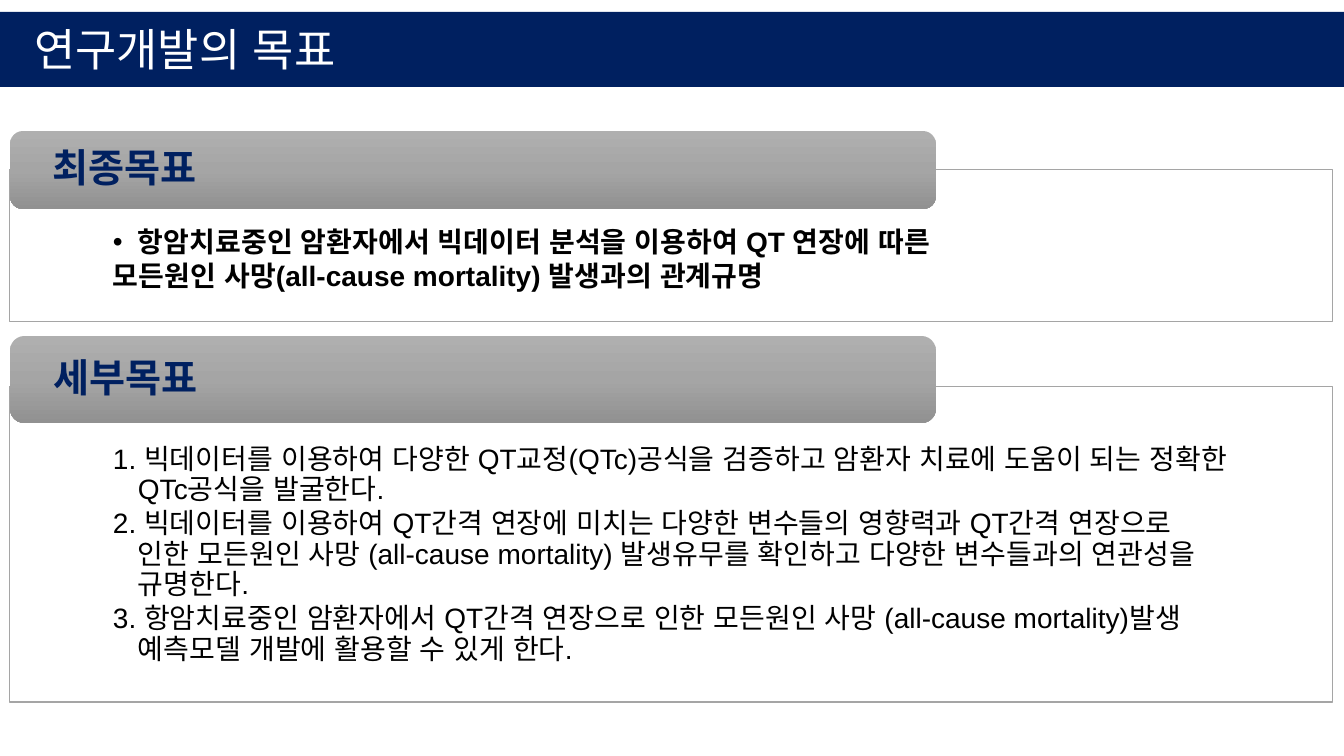
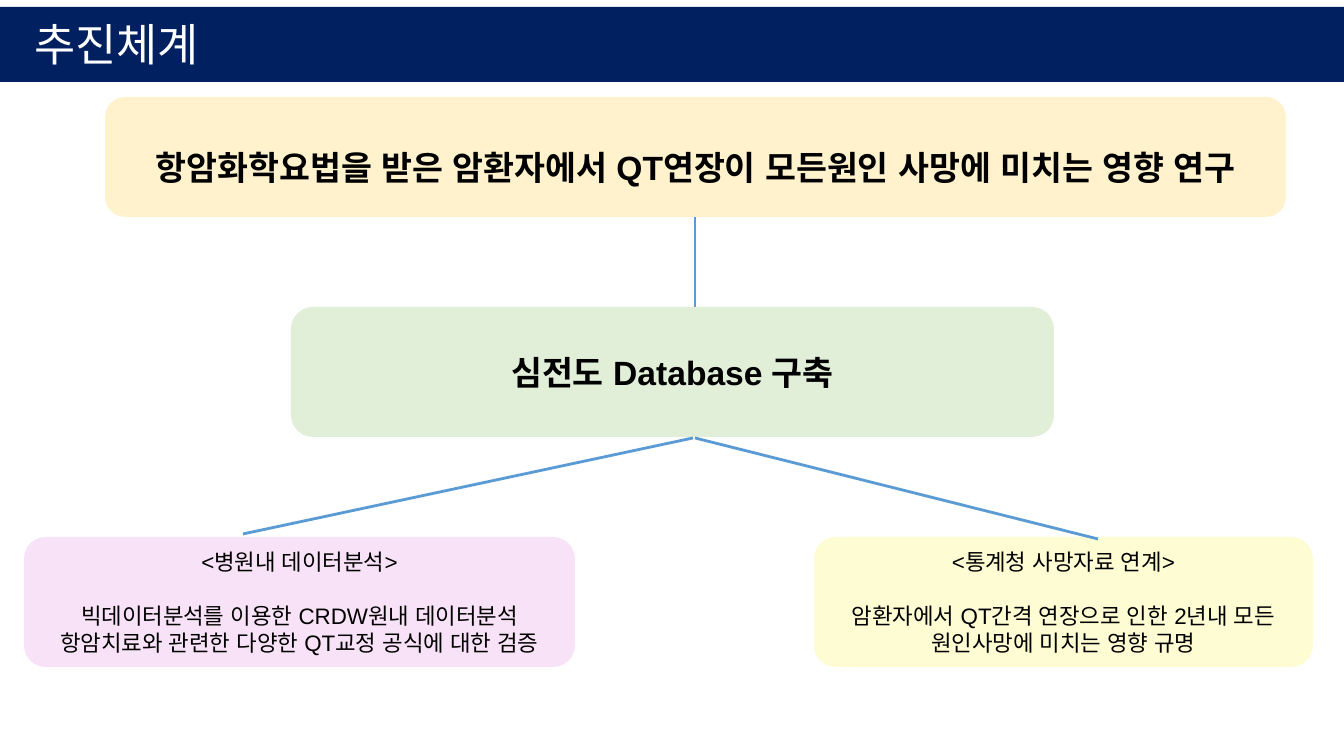
from copy import deepcopy

from lxml.etree import SubElement
from pptx import Presentation
from pptx.dml.color import RGBColor
from pptx.enum.shapes import MSO_CONNECTOR, MSO_SHAPE as SHAPE
from pptx.enum.text import MSO_ANCHOR as ANCHOR, MSO_AUTO_SIZE, PP_ALIGN as ALIGN
from pptx.oxml.ns import qn
from pptx.util import Pt

SLIDE_W, SLIDE_H = 1344, 756
EMU_PER_PX = 12192000 / SLIDE_W
FONT = "Arial"

NAVY = RGBColor(0x00, 0x20, 0x60)
WHITE = RGBColor(0xFF, 0xFF, 0xFF)
BLACK = RGBColor(0x00, 0x00, 0x00)
GREY = RGBColor(0xA5, 0xA5, 0xA5)
GREY_LIGHT = RGBColor(0xAF, 0xAF, 0xAF)
GREY_DARK = RGBColor(0x91, 0x91, 0x91)
BLUE = RGBColor(0x5B, 0x9B, 0xD5)
CREAM = RGBColor(0xFF, 0xF2, 0xCC)
GREEN = RGBColor(0xE1, 0xEF, 0xD8)
PINK = RGBColor(0xF8, 0xE2, 0xF7)
YELLOW = RGBColor(0xFD, 0xFC, 0xD2)


def px(*lengths):
    return [round(length * EMU_PER_PX) for length in lengths]


def add_box(slide, kind, box, fill=None):
    """Add a flat, borderless shape; box is left, top, width, height."""
    shape = slide.shapes.add_shape(kind, *px(*box))
    shape.shadow.inherit = False
    shape.line.fill.background()
    if fill is not None:
        shape.fill.solid()
        shape.fill.fore_color.rgb = fill
    return shape


def set_frame(frame, anchor, insets=(10, 5, 10, 5)):
    frame.word_wrap = True
    frame.auto_size = MSO_AUTO_SIZE.NONE
    frame.vertical_anchor = anchor
    (frame.margin_left, frame.margin_top,
     frame.margin_right, frame.margin_bottom) = px(*insets)


def write(frame, lines, size, color, bold=False, align=ALIGN.LEFT,
          spacing=1.0, gaps=(), hanging=0, bullets=()):
    """Write one paragraph per line; gaps are points before each later line."""
    for index, line in enumerate(lines):
        paragraph = frame.paragraphs[0] if index == 0 else frame.add_paragraph()
        paragraph.alignment = align
        paragraph.line_spacing = spacing
        paragraph.space_before = Pt(gaps[index - 1] if index and gaps else 0)
        if hanging:
            indent, = px(hanging)
            properties = paragraph._p.get_or_add_pPr()
            properties.set("marL", str(indent))
            properties.set("indent", str(-indent))
            if index in bullets:
                SubElement(properties, qn("a:buFont"), typeface=FONT)
                SubElement(properties, qn("a:buChar"), char="•")
            else:
                SubElement(properties, qn("a:buNone"))
        run = paragraph.add_run()
        run.text = line
        run.font.name = FONT
        run.font.size = Pt(size)
        run.font.bold = bold
        run.font.color.rgb = color
        # Korean glyphs take the East Asian typeface
        SubElement(run.font._element, qn("a:ea"), typeface=FONT)


def add_titled_slide(deck, title, band_top):
    slide = deck.slides.add_slide(deck.slide_layouts[5])
    heading = slide.shapes.title
    heading.left, heading.top, heading.width, heading.height = px(
        24, band_top + 5, 1296, 64)
    set_frame(heading.text_frame, ANCHOR.TOP)
    write(heading.text_frame, [title], 32, WHITE)
    # The band lies behind the title
    band = add_box(slide, SHAPE.RECTANGLE, (0, band_top, SLIDE_W, 75), NAVY)
    heading._element.addprevious(band._element)
    return slide


def fill_grey_gradient(shape):
    shape.fill.gradient()
    shape.fill.gradient_angle = 270
    stop_list = shape._element.spPr.find(qn("a:gradFill")).find(qn("a:gsLst"))
    stop_list.append(deepcopy(stop_list[-1]))
    shades = (0, GREY_LIGHT), (0.5, GREY), (1, GREY_DARK)
    for stop, (position, shade) in zip(shape.fill.gradient_stops, shades):
        stop.position = position
        stop.color.rgb = shade


def add_goal_section(slide, box, tab_height, panel_drop, heading, goals, **style):
    """Bordered panel of goals, with a heading tab over its top edge."""
    left, top, width, height = box
    panel = add_box(slide, SHAPE.RECTANGLE,
                    (left, top + panel_drop, width, height - panel_drop), WHITE)
    panel.line.color.rgb = GREY
    panel.line.width = Pt(0.75)
    set_frame(panel.text_frame, ANCHOR.TOP, (103, 59, 103, 16))
    write(panel.text_frame, goals, 20, BLACK, spacing=0.9,
          gaps=[3] * len(goals), hanging=25, **style)

    tab = add_box(slide, SHAPE.ROUNDED_RECTANGLE,
                  (left, top, width * 7 // 10, tab_height))
    fill_grey_gradient(tab)
    set_frame(tab.text_frame, ANCHOR.MIDDLE, (39, 4, 39, 4))
    write(tab.text_frame, [heading], 28, NAVY, bold=True, spacing=0.9)


def add_node(slide, box, fill, lines, size, **style):
    node = add_box(slide, SHAPE.ROUNDED_RECTANGLE, box, fill)
    set_frame(node.text_frame, ANCHOR.MIDDLE)
    write(node.text_frame, lines, size, BLACK, align=ALIGN.CENTER, **style)


def add_link(slide, start, end):
    link = slide.shapes.add_connector(MSO_CONNECTOR.STRAIGHT, *px(*start, *end))
    link.line.color.rgb = BLUE
    link.line.width = Pt(2)
    SubElement(link._element.spPr, qn("a:effectLst"))


def build_goals(deck):
    slide = add_titled_slide(deck, "연구개발의 목표", 12)
    add_goal_section(
        slide, (10, 131, 1323, 191), 78, 38, "최종목표",
        ["항암치료중인 암환자에서 빅데이터 분석을 이용하여 QT 연장에 따른",
         "모든원인 사망(all-cause mortality) 발생과의 관계규명"],
        bold=True, bullets=(0,))
    add_goal_section(
        slide, (10, 336, 1323, 366), 87, 50, "세부목표",
        ["1. 빅데이터를 이용하여 다양한 QT교정(QTc)공식을 검증하고 암환자 치료에 "
         "도움이 되는 정확한 QTc공식을 발굴한다.",
         "2. 빅데이터를 이용하여 QT간격 연장에 미치는 다양한 변수들의 영향력과 "
         "QT간격 연장으로 인한 모든원인 사망 (all-cause mortality) 발생유무를 "
         "확인하고 다양한 변수들과의 연관성을 규명한다.",
         "3. 항암치료중인 암환자에서 QT간격 연장으로 인한 모든원인 사망 "
         "(all-cause mortality)발생 예측모델 개발에 활용할 수 있게 한다."])


def build_framework(deck):
    slide = add_titled_slide(deck, "추진체계", 7)
    # Study topic and shared database
    add_node(slide, (105, 97, 1181, 120), CREAM,
             ["항암화학요법을 받은 암환자에서 QT연장이 모든원인 사망에 미치는 영향 연구"],
             24, bold=True, spacing=1.5)
    add_node(slide, (291, 307, 763, 130), GREEN, ["심전도 Database 구축"],
             24, bold=True)
    # Two analyses, one line apart from their headings
    add_node(slide, (24, 537, 551, 130), PINK,
             ["<병원내 데이터분석>",
              "빅데이터분석를 이용한 CRDW원내 데이터분석",
              "항암치료와 관련한 다양한 QT교정 공식에 대한 검증"],
             16, gaps=(19, 0))
    add_node(slide, (814, 537, 499, 130), YELLOW,
             ["<통계청 사망자료 연계>",
              "암환자에서 QT간격 연장으로 인한 2년내 모든 원인사망에 미치는 영향 규명"],
             16, gaps=(19,))
    # Links
    for start, end in (((695, 217), (695, 307)),
                       ((693, 438), (243, 534)),
                       ((695, 438), (1098, 539))):
        add_link(slide, start, end)


def main():
    deck = Presentation()
    deck.slide_width, deck.slide_height = px(SLIDE_W, SLIDE_H)
    build_goals(deck)
    build_framework(deck)
    deck.save("out.pptx")


if __name__ == "__main__":
    main()
